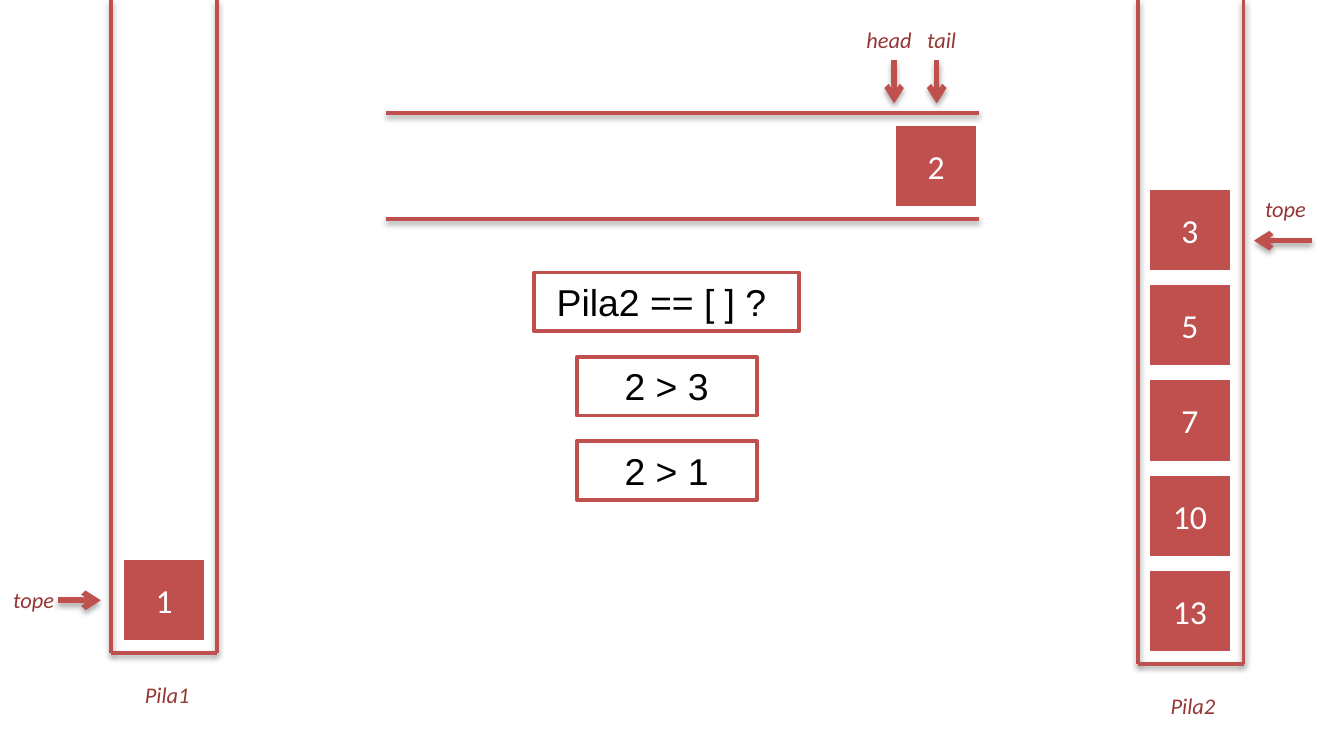
"""Build a slide showing a queue being sorted with two stacks."""
from lxml.etree import SubElement
from pptx import Presentation
from pptx.dml.color import RGBColor
from pptx.enum.shapes import MSO_CONNECTOR, MSO_SHAPE
from pptx.enum.text import MSO_ANCHOR, PP_ALIGN
from pptx.oxml.ns import qn
from pptx.util import Pt

RED, DARK_RED, WHITE, BLACK = "C0504D", "953735", "FFFFFF", "000000"
color = RGBColor.from_string


def write(box, text, size, font, ink, anchor=MSO_ANCHOR.TOP, align=PP_ALIGN.CENTER, italic=False):
    box.text_frame.word_wrap = True
    box.text_frame.vertical_anchor = anchor
    para = box.text_frame.paragraphs[0]
    para.alignment = align
    span = para.add_run()
    span.text = text
    span.font.size = Pt(size)
    span.font.name = font
    span.font.italic = italic
    span.font.color.rgb = color(ink)


def draw_line(x1, y1, x2, y2, arrow=False):
    line = page.shapes.add_connector(MSO_CONNECTOR.STRAIGHT, Pt(x1), Pt(y1), Pt(x2), Pt(y2))
    line.line.color.rgb = color(RED)
    line.line.width = Pt(3 if arrow else 2)
    properties = line._element.spPr
    if arrow:
        SubElement(properties.find(qn("a:ln")), qn("a:tailEnd"), type="arrow")
    effects = SubElement(properties, qn("a:effectLst"))
    shadow = SubElement(effects, qn("a:outerShdw"), blurRad=str(Pt(3.1)),
                        dist=str(Pt(1.8 if arrow else 1.6)), dir="5400000", rotWithShape="0")
    shade = SubElement(shadow, qn("a:srgbClr"), val=BLACK)
    SubElement(shade, qn("a:alpha"), val="35000" if arrow else "38000")


deck = Presentation()
deck.slide_width, deck.slide_height = Pt(720), Pt(405)
page = deck.slides.add_slide(deck.slide_layouts[6])

blocks = [("1", 65.5, 299), ("2", 479, 66.5)]
blocks += [(value, 615, 100.8 + 51 * row) for row, value in enumerate(["3", "5", "7", "10", "13"])]
for value, left, top in blocks:
    block = page.shapes.add_shape(MSO_SHAPE.RECTANGLE, Pt(left), Pt(top), Pt(45), Pt(45))
    block.shadow.inherit = False
    block.fill.solid()
    block.fill.fore_color.rgb = color(RED)
    block.line.color.rgb = color(WHITE)
    block.line.width = Pt(2)
    write(block, value, 18, "Calibri", WHITE, MSO_ANCHOR.MIDDLE)

questions = [("Pila2 == [ ] ? ", 142), ("2 > 3", 96.5), ("2 > 1", 96.5)]
for row, (question, width) in enumerate(questions):
    box = page.shapes.add_shape(MSO_SHAPE.RECTANGLE, Pt(357.2 - width / 2), Pt(146 + 45.2 * row),
                                Pt(width), Pt(31.5))
    box.shadow.inherit = False
    box.fill.solid()
    box.fill.fore_color.rgb = color(WHITE)
    box.line.color.rgb = color(RED)
    box.line.width = Pt(2)
    write(box, question, 20, "Arial", BLACK)

for y in (60.6, 117.2):
    draw_line(206.6, y, 524.3, y)

for left, bottom in ((59.6, 350), (609.5, 355.7)):
    right = left + 56.7
    draw_line(left, 0, left, bottom)
    draw_line(right, 0, right, bottom)
    draw_line(left, bottom, right, bottom)

for pointer in ((479, 32.4, 479, 55.4), (501.8, 32.4, 501.8, 55.4),
                (31, 321.6, 54, 321.6), (702.7, 128.9, 671.8, 128.9)):
    draw_line(*pointer, arrow=True)

labels = [
    ("head", 456.5, 10.3, 39.6, PP_ALIGN.CENTER),
    ("tail", 484.6, 10.3, 39.6, PP_ALIGN.CENTER),
    ("Pila1", 65.5, 361.4, 48.2, PP_ALIGN.CENTER),
    ("Pila2", 615, 367.2, 48.2, PP_ALIGN.CENTER),
    ("tope", 0, 310.6, 42.5, PP_ALIGN.LEFT),
    ("tope", 666, 100.8, 45.4, PP_ALIGN.CENTER),
]
for text, left, top, width, align in labels:
    label = page.shapes.add_textbox(Pt(left), Pt(top), Pt(width), Pt(21.8))
    write(label, text, 12, "Calibri", DARK_RED, align=align, italic=True)

deck.save("out.pptx")
